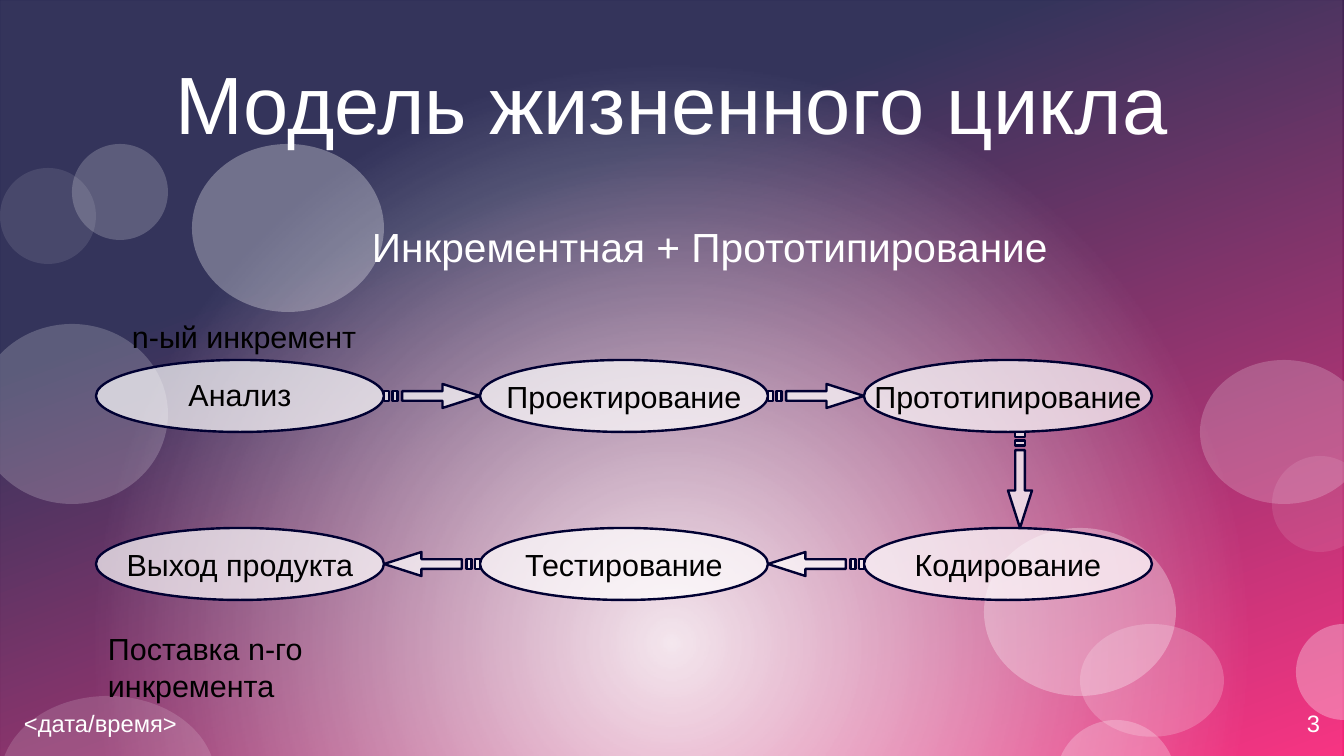
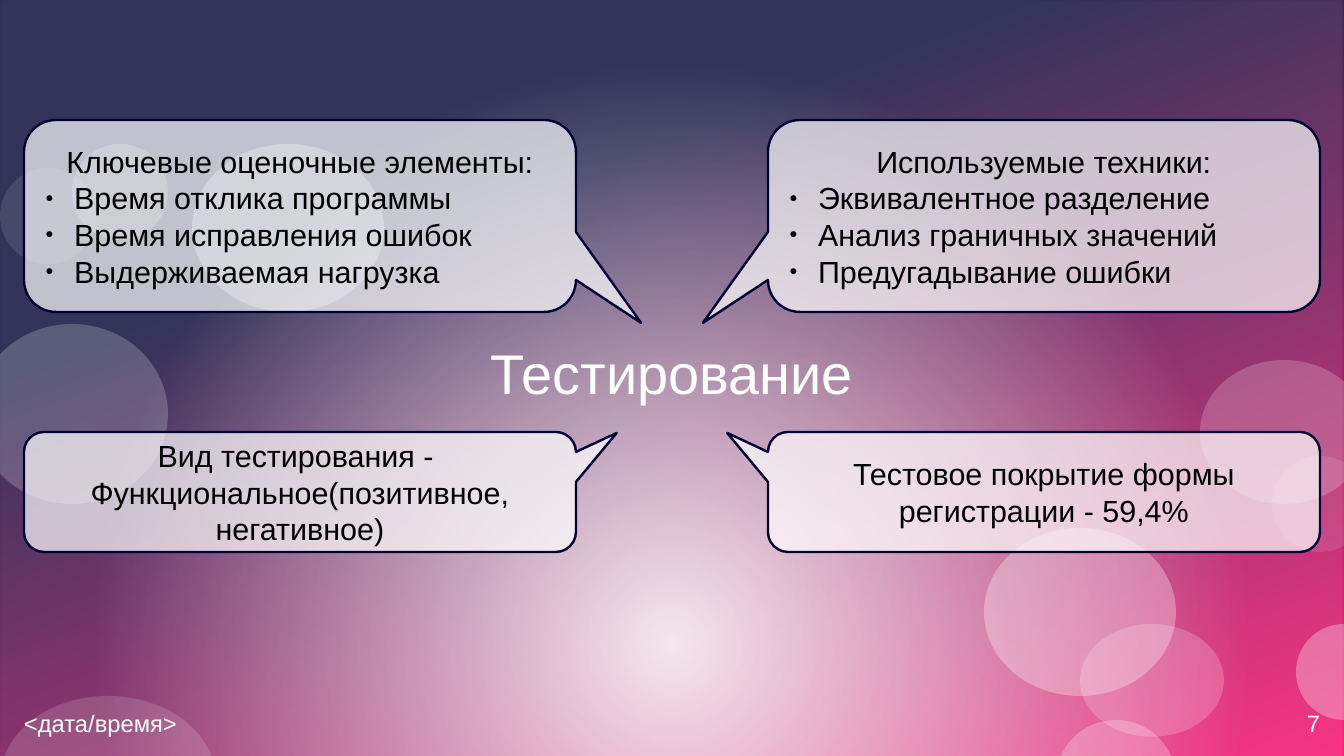
from lxml import etree
from pptx import Presentation
from pptx import util as u
from pptx.dml.color import RGBColor
from pptx.enum import shapes, text
from pptx.oxml import parse_xml
from pptx.oxml.ns import nsdecls, qn

COLORS = {"white": "FFFFFF", "black": "000000", "navy": "000032", "pink": "F60063"}
FONT = "Arial"
LEFT, CENTER, RIGHT = text.PP_ALIGN.LEFT, text.PP_ALIGN.CENTER, text.PP_ALIGN.RIGHT
TOP, MIDDLE, BOTTOM = text.MSO_ANCHOR.TOP, text.MSO_ANCHOR.MIDDLE, text.MSO_ANCHOR.BOTTOM


def write(shape, lines, size=18, color="black", align=LEFT, anchor=TOP, wrap=True, margins=True):
    frame = shape.text_frame
    frame.text = "\n".join(lines)
    frame.auto_size = text.MSO_AUTO_SIZE.NONE
    frame.word_wrap = wrap
    frame.vertical_anchor = anchor
    if not margins:
        frame.margin_left = frame.margin_right = frame.margin_top = frame.margin_bottom = 0
    for paragraph in frame.paragraphs:
        paragraph.alignment = align
        for run in paragraph.runs:
            run.font.name = FONT
            run.font.size = u.Pt(size)
            run.font.color.rgb = RGBColor.from_string(COLORS[color])


def glaze(shape, opacity, outlined=False):
    shape.shadow.inherit = False
    shape.fill.solid()
    shape.fill.fore_color.rgb = RGBColor.from_string(COLORS["white"])
    white = shape.element.spPr.find(qn("a:solidFill"))[0]
    etree.SubElement(white, qn("a:alpha")).set("val", str(opacity * 1000))
    if outlined:
        shape.line.color.rgb = RGBColor.from_string(COLORS["navy"])
        shape.line.width = u.Pt(1.42)
    else:
        shape.line.fill.background()


prs = Presentation()
prs.slide_width, prs.slide_height = u.Cm(28), u.Cm(15.75)
layout = prs.slide_layouts[5]
for placeholder in list(layout.placeholders):
    if placeholder.placeholder_format.type != shapes.PP_PLACEHOLDER.TITLE:
        placeholder.element.getparent().remove(placeholder.element)

pages = [
    ("Модель жизненного цикла", 48, (1.5, 0.75, 25, 2.75), "3"),
    ("Тестирование", 33, (10, 7, 8, 1.5), "7"),
]
slides = [prs.slides.add_slide(layout) for page in pages]
lifecycle, testing = slides

backdrop = lifecycle.shapes.add_shape(
    shapes.MSO_SHAPE.RECTANGLE, 0, 0, prs.slide_width, prs.slide_height)
backdrop.shadow.inherit = False
backdrop.line.fill.background()
backdrop.fill.gradient()
backdrop.fill.gradient_angle = 290
for stop, position, color in zip(backdrop.fill.gradient_stops, (0.3, 1), ("navy", "pink")):
    stop.position = position
    stop.color.rgb = RGBColor.from_string(COLORS[color])

glow = lifecycle.shapes.add_shape(
    shapes.MSO_SHAPE.RECTANGLE, 0, 0, prs.slide_width, prs.slide_height)
glaze(glow, 90)
glow_stops = "".join(
    f'<a:gs pos="{position}000"><a:srgbClr val="{COLORS["white"]}">'
    f'<a:alpha val="{opacity}000"/></a:srgbClr></a:gs>'
    for position, opacity in ((0, 90), (75, 20)))
solid = glow.element.spPr.find(qn("a:solidFill"))
solid.getparent().replace(solid, parse_xml(
    f'<a:gradFill {nsdecls("a")} rotWithShape="1"><a:gsLst>{glow_stops}</a:gsLst>'
    '<a:path path="circle"><a:fillToRect l="50000" t="85000" r="50000" b="15000"/></a:path>'
    '</a:gradFill>'))

date = lifecycle.shapes.add_textbox(u.Cm(0.5), u.Cm(14.25), u.Cm(6.5), u.Cm(1.1))
write(date, ["<дата/время>"], 14, "white", anchor=BOTTOM, margins=False)

bubbles = [
    (4, 3, 4, 3.5, 30),
    (20.5, 11, 4, 3.5, 30),
    (25, 7.5, 3.5, 3, 20),
    (-0.5, 6.75, 4, 3.75, 20),
    (1.5, 3, 2, 2, 20),
    (0, 3.5, 2, 2, 10),
    (0, 14.5, 4.5, 3.5, 15),
    (27, 13, 2, 2, 30),
    (26.5, 9.5, 2, 2, 10),
    (22.5, 13, 3, 2.35, 20),
    (22, 15, 2.5, 2.5, 25),
]
for *box, opacity in bubbles:
    bubble = lifecycle.shapes.add_shape(shapes.MSO_SHAPE.OVAL, *map(u.Cm, box))
    glaze(bubble, opacity)

for part in list(lifecycle.shapes):
    if not part.is_placeholder:
        layout.shapes.element.append(part.element)

for slide, (heading, size, box, page_number) in zip(slides, pages):
    title = slide.shapes.title
    title.left, title.top, title.width, title.height = map(u.Cm, box)
    write(title, [heading], size, "white", CENTER, MIDDLE, margins=False)
    number = slide.shapes.add_textbox(u.Cm(21), u.Cm(14.25), u.Cm(6.5), u.Cm(1.1))
    write(number, [page_number], 14, "white", RIGHT, BOTTOM, margins=False)

captions = [
    ("Поставка n-го инкремента", (2, 13, 5, 1.68), 18, "black"),
    ("Инкрементная + Прототипирование", (7.5, 4.5, 15, 1.2), 24, "white"),
    ("n-ый инкремент", (2.5, 6.5, 5.5, 1.17), 18, "black"),
]
for caption, box, size, color in captions:
    label = lifecycle.shapes.add_textbox(*map(u.Cm, box))
    write(label, [caption], size, color)

stages = [
    (7.5, ["Анализ", "Проектирование", "Прототипирование"]),
    (11, ["Выход продукта", "Тестирование", "Кодирование"]),
]
for top, names in stages:
    for column, name in enumerate(names):
        stage = lifecycle.shapes.add_shape(
            shapes.MSO_SHAPE.OVAL, u.Cm(2 + 8 * column), u.Cm(top), u.Cm(6), u.Cm(1.5))
        glaze(stage, 70, outlined=True)
        anchor = TOP if name == "Анализ" else MIDDLE
        write(stage, [name], align=CENTER, anchor=anchor, wrap=False)

arrow_head = [(200, 25), (122, 50), (122, 35), (38, 35), (38, 15), (122, 15), (122, 0)]
arrows = [(8, 8, 0), (16, 8, 0), (16, 11.5, 180), (8, 11.5, 180), (20.25, 9.75, 90)]
for left, top, turn in arrows:
    outline = lifecycle.shapes.build_freeform(122, 0, scale=u.Cm(0.01))
    outline.add_line_segments(arrow_head, close=True)
    for start, end in ((0, 10), (18, 28)):
        outline.move_to(start, 15)
        outline.add_line_segments([(start, 35), (end, 35), (end, 15)], close=True)
    arrow = outline.convert_to_shape(u.Cm(left), u.Cm(top))
    arrow.rotation = turn
    glaze(arrow, 70, outlined=True)

callouts = [
    (0.5, 2.5, 4, (0.618, 0.557), ["Ключевые оценочные элементы:"],
     ["Время отклика программы", "Время исправления ошибок", "Выдерживаемая нагрузка"]),
    (16, 2.5, 4, (-0.618, 0.557), ["Используемые техники:"],
     ["Эквивалентное разделение", "Анализ граничных значений", "Предугадывание ошибки"]),
    (0.5, 9, 2.5, (0.574, -0.492),
     ["Вид тестирования - ", "Функциональное(позитивное, негативное)"], []),
    (16, 9, 2.5, (-0.574, -0.492), ["Тестовое покрытие формы регистрации - 59,4%"], []),
]
for left, top, height, tip, intro, points in callouts:
    callout = testing.shapes.add_shape(
        shapes.MSO_SHAPE.ROUNDED_RECTANGULAR_CALLOUT,
        u.Cm(left), u.Cm(top), u.Cm(11.5), u.Cm(height))
    callout.adjustments[0], callout.adjustments[1] = tip
    callout.adjustments[2] = 0.167
    glaze(callout, 70, outlined=True)
    write(callout, intro + points, align=CENTER, anchor=MIDDLE)
    for point in callout.text_frame.paragraphs[len(intro):]:
        point.alignment = LEFT
        properties = point._p.get_or_add_pPr()
        properties.set("marL", str(u.Cm(0.6)))
        properties.set("indent", str(-u.Cm(0.6)))
        bullet_color = etree.SubElement(properties, qn("a:buClr"))
        etree.SubElement(bullet_color, qn("a:srgbClr")).set("val", COLORS["black"])
        etree.SubElement(properties, qn("a:buSzPct")).set("val", "45000")
        etree.SubElement(properties, qn("a:buFont")).set("typeface", FONT)
        etree.SubElement(properties, qn("a:buChar")).set("char", "●")

prs.save("out.pptx")
